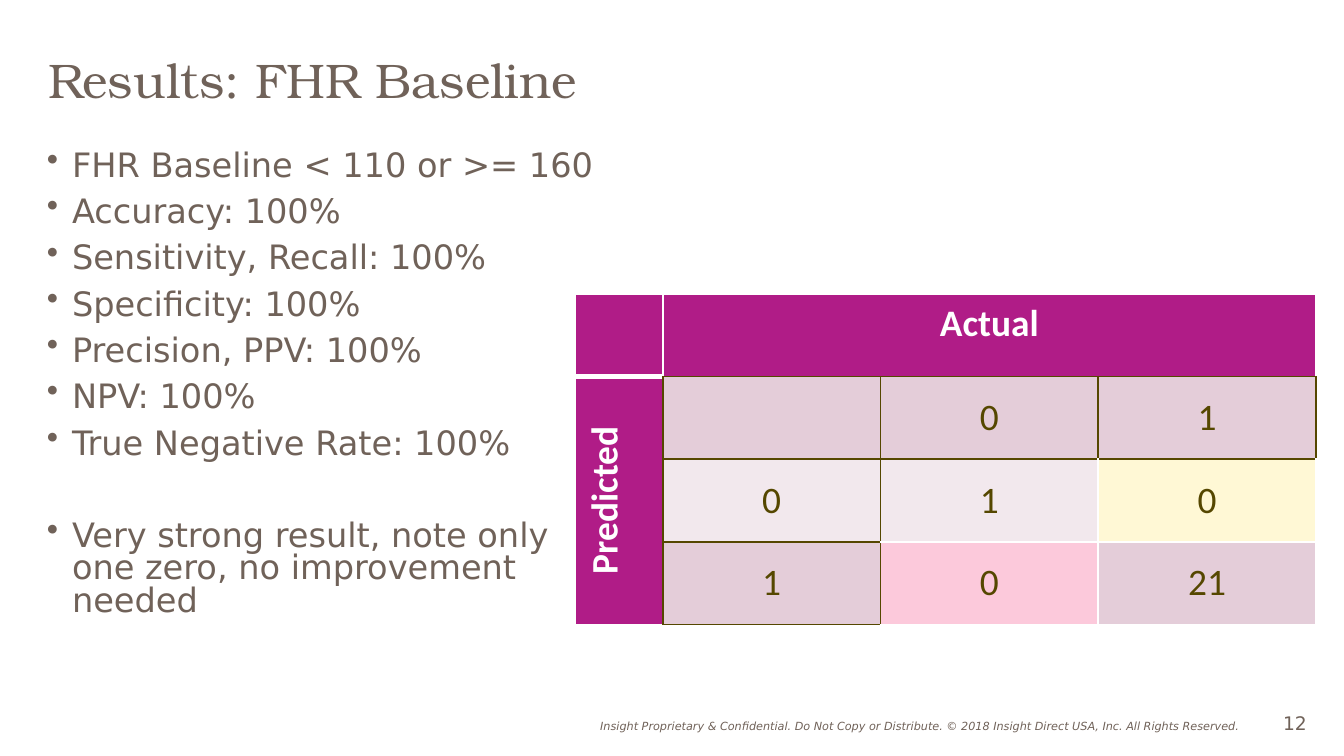
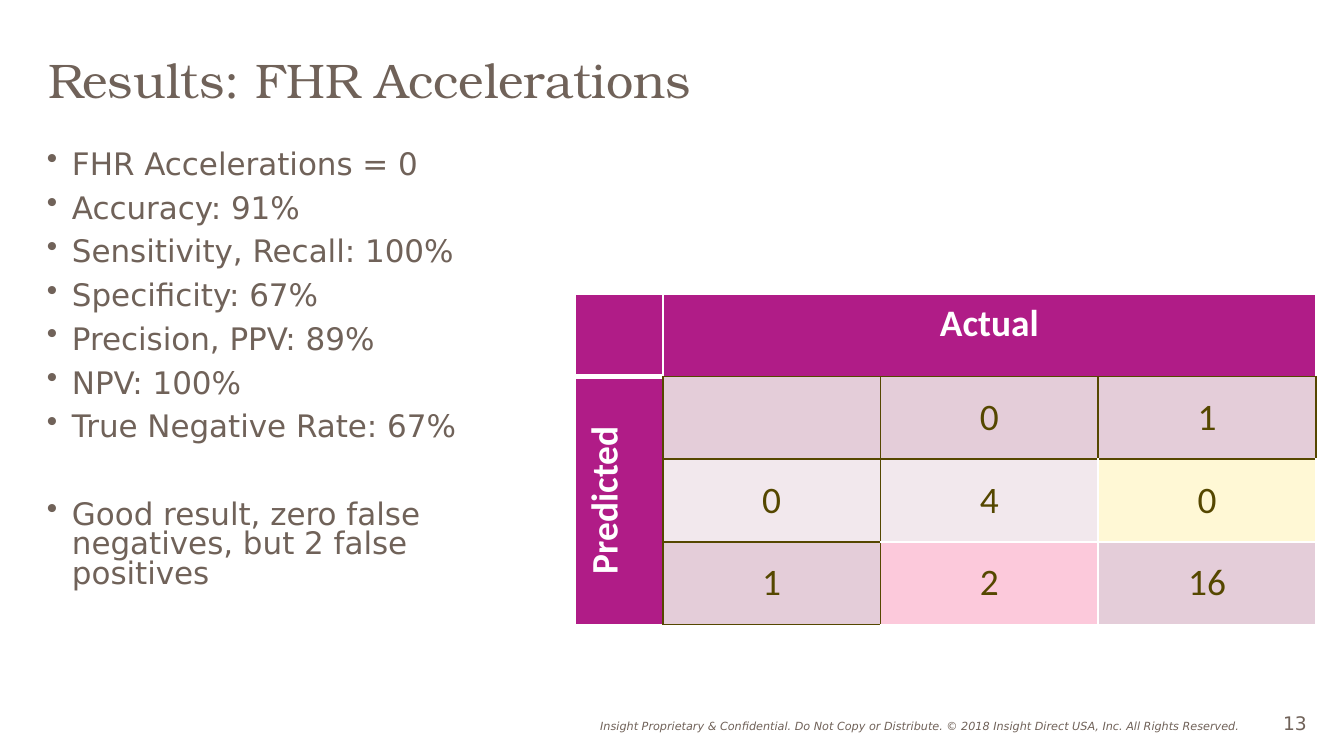
import dataclasses

import pptx
import pptx.dml.color
import pptx.enum.text
import pptx.oxml.ns
import pptx.util
from lxml import etree

ALIGN = pptx.enum.text.PP_ALIGN
ANCHOR = pptx.enum.text.MSO_ANCHOR
EMU_PER_PX = 4762.5  # 1920 px across 10 inches


@dataclasses.dataclass(frozen=True)
class Theme:
    grey: str = "706259"
    white: str = "FFFFFF"
    ink: str = "554700"
    magenta: str = "B01C87"
    dark_band: str = "E4CDD9"
    light_band: str = "F2E8ED"
    false_negative: str = "FFF8D5"
    false_positive: str = "FCC9DB"
    title_font: str = "TeX Gyre Bonum"
    body_font: str = "DejaVu Sans"
    table_font: str = "Calibri"
    title_size: float = 26
    table_size: float = 20
    number_size: float = 10
    footer_size: float = 6


theme = Theme()


def px(length):
    return pptx.util.Emu(round(length * EMU_PER_PX))


def add_span(para, text, font, size, color, bold=False, italic=False):
    span = para.add_run()
    span.text = text
    span.font.name = font
    span.font.size = pptx.util.Pt(size)
    span.font.bold = bold
    span.font.italic = italic
    span.font.color.rgb = pptx.dml.color.RGBColor.from_string(color)


FOOTER = ("Insight Proprietary & Confidential. Do Not Copy or Distribute. "
          "© 2018 Insight Direct USA, Inc. All Rights Reserved.")
METRICS = ["Accuracy", "Sensitivity, Recall", "Specificity",
           "Precision, PPV", "NPV", "True Negative Rate"]

results = [
    dict(number="12", title="Results: FHR Baseline", rule="FHR Baseline < 110 or >= 160",
         percents=[100, 100, 100, 100, 100, 100],
         verdict=["Very strong result, note only one zero, no improvement needed"],
         size=18, body_width=829, counts=[["1", "0"], ["0", "21"]]),
    dict(number="13", title="Results: FHR Accelerations", rule="FHR Accelerations = 0",
         percents=[91, 100, 67, 89, 100, 67],
         verdict=["Good result, zero false ", "negatives, but 2 false ", "positives"],
         size=16.6, body_width=1321, counts=[["4", "0"], ["2", "16"]]),
]

# Confusion matrix look: cell fills, and the cells whose borders are not all ink
fills = [
    [theme.magenta] * 4,
    [theme.magenta] + [theme.dark_band] * 3,
    [theme.magenta, theme.light_band, theme.light_band, theme.false_negative],
    [theme.magenta, theme.dark_band, theme.false_positive, theme.dark_band],
]
SIDES = ["lnL", "lnR", "lnT", "lnB"]
white_sides = {
    (0, 0): SIDES,
    (0, 1): ["lnL", "lnR", "lnT"],
    (1, 0): ["lnL", "lnT", "lnB"],
    (2, 2): ["lnR", "lnB"],
    (2, 3): ["lnL", "lnR", "lnB"],
    (3, 2): ["lnR", "lnT", "lnB"],
    (3, 3): SIDES,
}

deck = pptx.Presentation()
deck.slide_width, deck.slide_height = px(1920), px(1080)

for result in results:
    page = deck.slides.add_slide(deck.slide_layouts[6])

    # Footer, page number and title
    for text, place, font, size, align, anchor, italic in [
        (FOOTER, (678, 1018, 1110, 38), theme.body_font, theme.footer_size,
         ALIGN.RIGHT, ANCHOR.TOP, True),
        (result["number"], (1814, 1008, 134, 52), theme.body_font, theme.number_size,
         ALIGN.LEFT, ANCHOR.TOP, False),
        (result["title"], (50, 46, 1830, 144), theme.title_font, theme.title_size,
         ALIGN.LEFT, ANCHOR.MIDDLE, False),
    ]:
        box = page.shapes.add_textbox(*map(px, place))
        box.text_frame.word_wrap = True
        box.text_frame.vertical_anchor = anchor
        para = box.text_frame.paragraphs[0]
        para.alignment = align
        if text == result["title"]:
            para.line_spacing = 0.9
        add_span(para, text, font, size, theme.grey, italic=italic)

    # Bulleted metrics, with a wider gap above the verdict
    box = page.shapes.add_textbox(px(48), px(207), px(result["body_width"]), px(700))
    box.text_frame.word_wrap = True
    metrics = [f"{name}: {percent}%" for name, percent in zip(METRICS, result["percents"])]
    bullets = [[result["rule"]]] + [[metric] for metric in metrics] + [result["verdict"]]
    for index, lines in enumerate(bullets):
        para = box.text_frame.add_paragraph() if index else box.text_frame.paragraphs[0]
        properties = para._p.get_or_add_pPr()
        properties.set("marL", str(px(36)))
        properties.set("indent", str(px(-36)))
        etree.SubElement(properties, pptx.oxml.ns.qn("a:buChar"), char="•")
        para.line_spacing = 0.8
        if index:
            gap = 15 + 0.96 * result["size"] if lines is result["verdict"] else 7.5
            para.space_before = pptx.util.Pt(gap)
        for line_index, line in enumerate(lines):
            if line_index:
                para.add_line_break()
            add_span(para, line, theme.body_font, result["size"], theme.grey)

    # Confusion matrix
    frame = page.shapes.add_table(4, 4, px(822), px(420), px(1058), px(472))
    table = frame.table
    table.first_row = table.horz_banding = False
    for column, width in zip(table.columns, [125, 311, 311, 311]):
        column.width = px(width)
    for row in table.rows:
        row.height = px(118)
    table.cell(0, 1).merge(table.cell(0, 3))
    table.cell(1, 0).merge(table.cell(3, 0))

    labels = [["", "Actual", "", ""], ["Predicted", "", "0", "1"],
              ["", "0", *result["counts"][0]], ["", "1", *result["counts"][1]]]
    for row, texts in enumerate(labels):
        for column, text in enumerate(texts):
            cell = table.cell(row, column)
            if cell.is_spanned:
                continue
            header = row == 0 or column == 0
            cell.fill.solid()
            cell.fill.fore_color.rgb = pptx.dml.color.RGBColor.from_string(fills[row][column])
            cell.vertical_anchor = ANCHOR.TOP if header else ANCHOR.MIDDLE
            properties = cell._tc.get_or_add_tcPr()
            if text == "Predicted":
                properties.set("vert", "vert270")
            if text:
                para = cell.text_frame.paragraphs[0]
                para.alignment = ALIGN.CENTER
                add_span(para, text, theme.table_font, theme.table_size,
                         theme.white if header else theme.ink, bold=header)

            # Borders go ahead of the fill
            for position, side in enumerate(SIDES):
                color = theme.white if side in white_sides.get((row, column), []) else theme.ink
                points = 3 if (row, column, side) == (0, 0, "lnB") else 1
                line = etree.Element(pptx.oxml.ns.qn("a:" + side), w=str(pptx.util.Pt(points)))
                solid = etree.SubElement(line, pptx.oxml.ns.qn("a:solidFill"))
                etree.SubElement(solid, pptx.oxml.ns.qn("a:srgbClr"), val=color)
                properties.insert(position, line)

deck.save("out.pptx")
